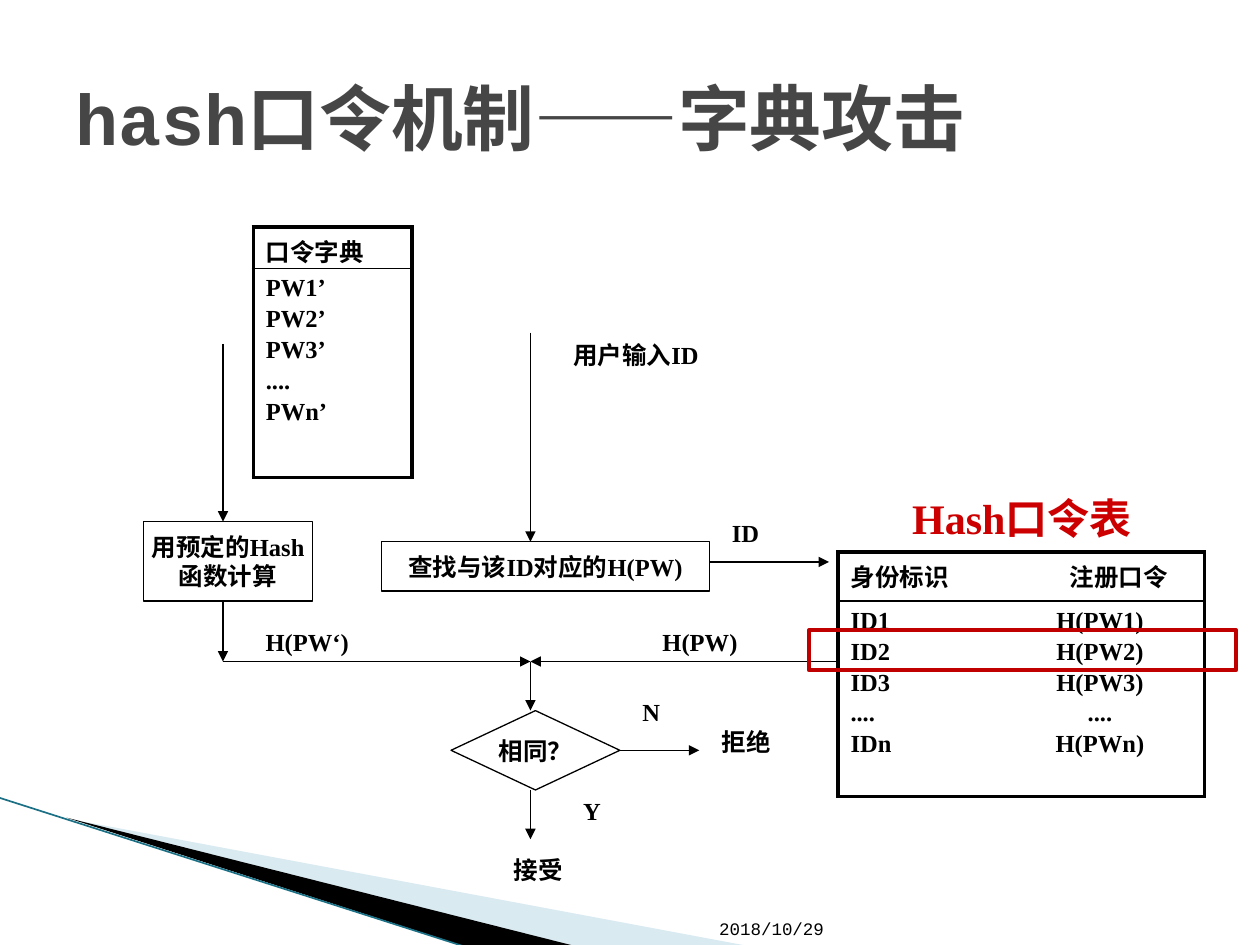
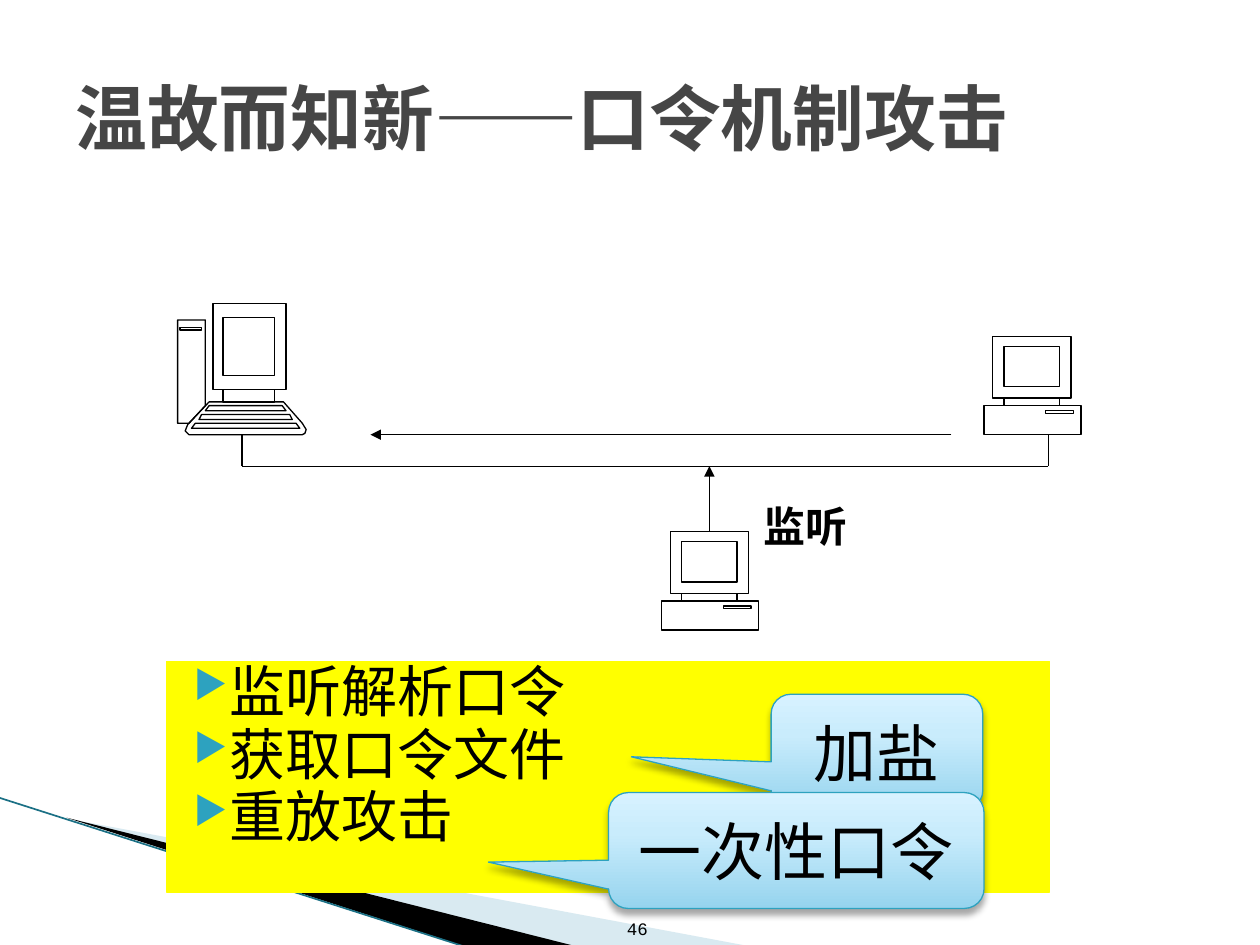
from copy import deepcopy

from lxml.etree import SubElement
from pptx import Presentation
from pptx.dml.color import RGBColor
from pptx.enum.shapes import MSO_CONNECTOR, MSO_SHAPE
from pptx.enum.text import MSO_ANCHOR, PP_ALIGN
from pptx.oxml.ns import qn
from pptx.util import Inches, Pt

rgb = RGBColor.from_string
BLACK, WHITE, RED, YELLOW = "000000", "FFFFFF", "C00000", "FFFF00"
TITLE_GREY, TEAL, BAND_EDGE = "464646", "2DA2BF", "1B7085"
MONO, SERIF, CJK = "Courier New", "Times New Roman", "Noto Sans CJK SC"
LEFT, CENTER, RIGHT = PP_ALIGN.LEFT, PP_ALIGN.CENTER, PP_ALIGN.RIGHT
TOP, MIDDLE, BOTTOM = MSO_ANCHOR.TOP, MSO_ANCHOR.MIDDLE, MSO_ANCHOR.BOTTOM

prs = Presentation()
prs.slide_width, prs.slide_height = Inches(10), Inches(7.5)
U = prs.slide_width // 1000  # grid of 1000 columns by 750 rows


def write(tf, text, size=14, font=SERIF, color=BLACK, bold=True,
          align=LEFT, anchor=TOP, wrap=True):
    tf.text = text
    tf.word_wrap, tf.vertical_anchor = wrap, anchor
    for p in tf.paragraphs:
        p.alignment = align
        for r in p.runs:
            r.font.size, r.font.name, r.font.bold = Pt(size), font, bold
            r.font.color.rgb = rgb(color)
            SubElement(r.font._element, qn("a:ea"), typeface=CJK)


def outline(s, contours, fill=None):
    fb = s.shapes.build_freeform(*contours[0][0], scale=U)
    for contour in contours:
        fb.move_to(*contour[0])
        fb.add_line_segments(contour[1:], close=True)
    sp = fb.convert_to_shape()
    sp.shadow.inherit = False
    if fill:
        sp.fill.solid()
        sp.fill.fore_color.rgb = rgb(fill)
        sp.line.fill.background()
    else:
        sp.fill.background()
        sp.line.color.rgb, sp.line.width = rgb(BLACK), Pt(0.75)
    return sp


# Shared parts: corner bands, footer, title
slides = []
connectors = []  # slide, x1, y1, x2, y2, arrow, colour, start shape
for title, footer, foot_x, foot_w, foot_align in [
        ("hash口令机制——字典攻击", "2018/10/29", 561, 112, LEFT),
        ("温故而知新——口令机制攻击", "46", 468, 56, RIGHT)]:
    s = prs.slides.add_slide(prs.slide_layouts[6])
    slides.append(s)
    band = outline(s, [[(55, 650), (595, 751), (456, 751)]], "A0CBDC")
    tint = band._element.spPr.find(".//" + qn("a:srgbClr"))
    SubElement(tint, qn("a:alpha"), val="40000")
    outline(s, [[(53, 649), (457, 751), (372, 752)]], BLACK)
    edge = s.shapes.add_connector(MSO_CONNECTOR.STRAIGHT, -U, 633 * U, 371 * U, 752 * U)
    edge.line.color.rgb, edge.line.width = rgb(BAND_EDGE), Pt(0.95)
    SubElement(edge._element.spPr, qn("a:effectLst"))
    sp = s.shapes.add_textbox(foot_x * U, 701 * U, foot_w * U, 49 * U)
    write(sp.text_frame, footer, 10, MONO, bold=False, align=foot_align, anchor=BOTTOM)
    sp = s.shapes.add_textbox(50 * U, 30 * U, 900 * U, 125 * U)
    write(sp.text_frame, title, 41, MONO, TITLE_GREY, anchor=MIDDLE)
attack, review = slides

# Slide 1: password tables, tabs centred on the second entry
for x, y, w, rows in [
        (665, 438, 291, [(39, 213, "身份标识\t注册口令"),
                         (155, 198, "ID1\tH(PW1)\nID2\tH(PW2)\nID3\tH(PW3)\n....\t....\nIDn\tH(PWn)")]),
        (201, 180, 126, [(33, 0, "口令字典"),
                         (166, 0, "PW1’\nPW2’\nPW3’\n....\nPWn’")])]:
    height = sum(row[0] for row in rows)
    tbl = attack.shapes.add_table(2, 1, x * U, y * U, w * U, height * U).table
    tbl.first_row = tbl.horz_banding = False
    for i, (h, tab, text) in enumerate(rows):
        tbl.rows[i].height = h * U
        cell = tbl.cell(i, 0)
        write(cell.text_frame, text)
        cell.margin_top, cell.margin_bottom = 5 * U, 0
        for p in cell.text_frame.paragraphs:
            p.space_before = Pt(2.2)
            if tab:
                tabs = SubElement(p._p.get_or_add_pPr(), qn("a:tabLst"))
                SubElement(tabs, qn("a:tab"), pos=str(tab * U), algn="ctr")
        thin = "lnB" if i == 0 else "lnT"
        for side in ("lnL", "lnR", "lnT", "lnB"):
            width = Pt(1) if side == thin else Pt(2.25)
            ln = SubElement(cell._tc.get_or_add_tcPr(), qn("a:" + side), w=str(width))
            SubElement(SubElement(ln, qn("a:solidFill")), qn("a:srgbClr"), val=BLACK)
        cell.fill.background()

# Flow steps
for kind, x, y, w, h, text in [
        (MSO_SHAPE.RECTANGLE, 114, 414, 134, 63, "用预定的Hash\n函数计算"),
        (MSO_SHAPE.RECTANGLE, 303, 430, 260, 39, "查找与该ID对应的H(PW)"),
        (MSO_SHAPE.FLOWCHART_DECISION, 358, 564, 134, 63, "相同？")]:
    step = attack.shapes.add_shape(kind, x * U, y * U, w * U, h * U)
    step.shadow.inherit = False
    step.fill.solid()
    step.fill.fore_color.rgb = rgb(WHITE)
    step.line.color.rgb, step.line.width = rgb(BLACK), Pt(0.75)
    write(step.text_frame, text, align=CENTER, anchor=MIDDLE, wrap=False)
decision = step

# Flow labels
for x, y, w, text in [
        (398, 674, 71, "接受"), (563, 572, 79, "拒绝"), (500, 548, 79, "N"),
        (453, 627, 79, "Y"), (201, 493, 126, "H(PW‘)"), (516, 493, 126, "H(PW)"),
        (445, 265, 221, "用户输入ID"), (571, 406, 55, "ID")]:
    sp = attack.shapes.add_textbox(x * U, y * U, w * U, 33 * U)
    write(sp.text_frame, text)
sp = attack.shapes.add_textbox(673 * U, 386 * U, 276 * U, 50 * U)
write(sp.text_frame, "Hash口令表", 24, color="CC0000", align=CENTER)

# Slide 2: two terminals and a workstation
terminal = [(7, 0, 69, 49), (16, 49, 60, 55), (0, 55, 77, 78),
            (16, 8, 60, 40), (49, 59, 71, 61)]
workstation = [(28, 0, 86, 68), (36, 68, 77, 78), (36, 11, 77, 57), (2, 19, 19, 21)]
tower = [(150, 336), (141, 336), (141, 254), (163, 254), (163, 322)]
keyboard = [(166, 319), (225, 319), (240, 336), (243, 341), (242, 344), (240, 345),
            (150, 345), (147, 342), (149, 337)]
keys = [[(166 - 5.5 * i, 322 + 7 * i), (224 + 5.5 * i, 322 + 7 * i),
         (227 + 5.5 * i, 326 + 7 * i), (163 - 5.5 * i, 326 + 7 * i)] for i in range(3)]
for x, y, parts, extra in [(781, 267, terminal, []), (525, 422, terminal, []),
                           (141, 241, workstation, [tower, keyboard] + keys)]:
    boxes = [[(x + l, y + t), (x + r, y + t), (x + r, y + b), (x + l, y + b)]
             for l, t, r, b in parts]
    outline(review, boxes + extra)

sp = review.shapes.add_textbox(601 * U, 396 * U, 77 * U, 52 * U)
tf = sp.text_frame
tf.margin_left = tf.margin_right = 2 * U
tf.margin_top = tf.margin_bottom = U
write(tf, "监听", 24, CJK, align=CENTER)

# Connectors of both slides
for s, x1, y1, x2, y2, arrow, start in [
        (attack, 177, 273, 177, 414, True, None),
        (attack, 177, 477, 177, 525, True, None),
        (attack, 177, 525, 421, 525, True, None),
        (attack, 665, 525, 421, 525, True, None),
        (attack, 421, 264, 421, 430, True, None),
        (attack, 421, 525, 421, 564, True, None),
        (attack, 421, 627, 421, 666, True, None),
        (attack, 492, 595, 555, 595, True, decision),
        (attack, 563, 446, 658, 446, True, None),
        (review, 192, 345, 192, 370, False, None),
        (review, 832, 345, 832, 370, False, None),
        (review, 192, 370, 832, 370, False, None),
        (review, 563, 422, 563, 370, True, None),
        (review, 755, 345, 294, 345, True, None)]:
    line = s.shapes.add_connector(MSO_CONNECTOR.STRAIGHT, x1 * U, y1 * U, x2 * U, y2 * U)
    if start:
        line.begin_connect(start, 3)
        line.end_y = line.begin_y
    line.line.color.rgb, line.line.width = rgb(BLACK), Pt(0.75)
    spPr = line._element.spPr
    if arrow:
        SubElement(spPr.find(qn("a:ln")), qn("a:tailEnd"), type="triangle")
    SubElement(spPr, qn("a:effectLst"))

# Highlighted table row on slide 1
sp = attack.shapes.add_shape(MSO_SHAPE.RECTANGLE, 642 * U, 500 * U, 339 * U, 32 * U)
sp.shadow.inherit = False
sp.fill.background()
sp.line.color.rgb, sp.line.width = rgb(RED), Pt(2.25)

# Attack list on slide 2
sp = review.shapes.add_shape(MSO_SHAPE.RECTANGLE, 132 * U, 525 * U, 701 * U, 183 * U)
sp.shadow.inherit = False
sp.fill.solid()
sp.fill.fore_color.rgb = rgb(YELLOW)
sp.line.color.rgb, sp.line.width = rgb(YELLOW), Pt(0.75)
write(sp.text_frame, "监听解析口令\n获取口令文件\n重放攻击", 32, CJK, bold=False,
      align=PP_ALIGN.JUSTIFY)
for p in sp.text_frame.paragraphs:
    p.space_before, p.line_spacing = Pt(4), 0.83
    pPr = p._p.get_or_add_pPr()
    pPr.set("marL", str(40 * U))
    pPr.set("indent", str(-28 * U))
    SubElement(SubElement(pPr, qn("a:buClr")), qn("a:srgbClr"), val=TEAL)
    SubElement(pPr, qn("a:buSzPct"), val="68000")
    SubElement(pPr, qn("a:buChar"), char="▶")

# Countermeasure callouts
for x, y, w, tip_x, tip_y, text in [(612, 551, 168, -1.16, 0.04, "加盐"),
                                    (483, 629, 298, -0.82, 0.1, "一次性口令")]:
    sp = review.shapes.add_shape(MSO_SHAPE.ROUNDED_RECTANGULAR_CALLOUT,
                                 x * U, y * U, w * U, 92 * U)
    sp.adjustments[0], sp.adjustments[1], sp.adjustments[2] = tip_x, tip_y, 0.17
    sp.fill.gradient()
    sp.fill.gradient_angle = 90
    spPr = sp._element.spPr
    stops = spPr.find(".//" + qn("a:gsLst"))
    stops.append(deepcopy(stops[0]))
    for stop, (pos, color) in zip(sp.fill.gradient_stops,
                                  [(0, "96D4EE"), (0.65, "C9ECFC"), (1, "D7F2FF")]):
        stop.position, stop.color.rgb = pos, rgb(color)
    sp.line.color.rgb, sp.line.width = rgb(TEAL), Pt(0.75)
    sp.shadow.inherit = False
    shadow = SubElement(spPr.find(qn("a:effectLst")), qn("a:outerShdw"),
                        blurRad=str(Pt(4)), dist=str(Pt(3)), dir="5400000")
    tone = SubElement(shadow, qn("a:srgbClr"), val=BLACK)
    SubElement(tone, qn("a:alpha"), val="35000")
    write(sp.text_frame, text, 36, MONO, bold=False, align=CENTER, anchor=MIDDLE)

prs.save("out.pptx")
